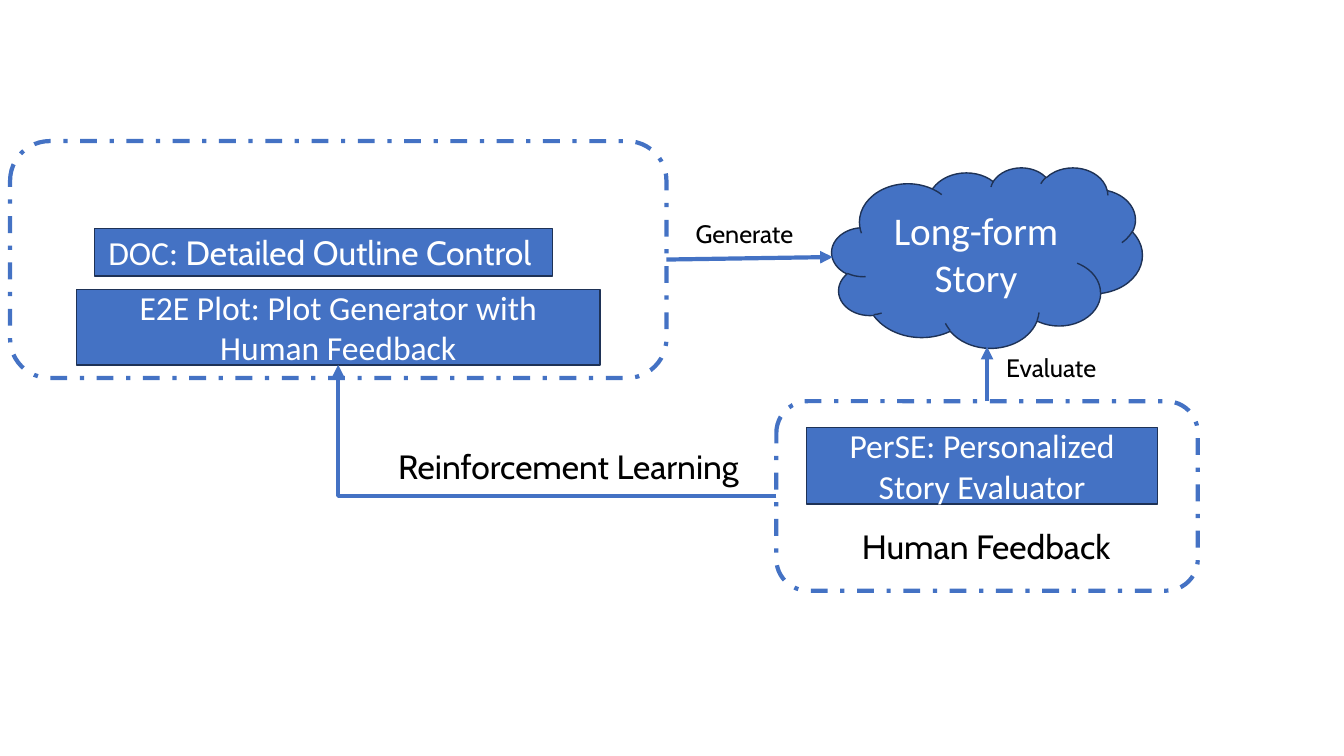
from lxml import etree
from pptx import Presentation
from pptx.dml.color import RGBColor
from pptx.enum.dml import MSO_LINE
from pptx.enum.shapes import MSO_CONNECTOR, MSO_SHAPE
from pptx.enum.text import MSO_ANCHOR, MSO_AUTO_SIZE, PP_ALIGN
from pptx.oxml.ns import qn
from pptx.util import Pt

PX = 9144
BLUE = RGBColor(0x44, 0x72, 0xC4)
NAVY = RGBColor(0x1E, 0x32, 0x56)
WHITE = RGBColor(0xFF, 0xFF, 0xFF)
BLACK = RGBColor(0x00, 0x00, 0x00)
RECTANGLE = MSO_SHAPE.RECTANGLE
ROUNDED = MSO_SHAPE.ROUNDED_RECTANGLE
CLOUD = MSO_SHAPE.CLOUD
STRAIGHT = MSO_CONNECTOR.STRAIGHT
ELBOW = MSO_CONNECTOR.ELBOW
DASH_DOT = MSO_LINE.DASH_DOT
MIDDLE = MSO_ANCHOR.MIDDLE
CENTER = PP_ALIGN.CENTER
FIT_SHAPE = MSO_AUTO_SIZE.SHAPE_TO_FIT_TEXT
TOP, LEFT, BOTTOM, RIGHT = range(4)


def scaled(*lengths):
    """Turn px lengths into EMU."""
    return [length * PX for length in lengths]


def add_span(para, text, size, color, face):
    """Append one formatted run to a paragraph."""
    span = para.add_run()
    span.text = text
    span.font.size = Pt(size)
    span.font.name = face
    span.font.color.rgb = color


def add_block(page, kind, bounds, spans, size=24):
    """Add a filled shape with centred white text from (text, face) pairs."""
    block = page.shapes.add_shape(kind, *scaled(*bounds))
    block.shadow.inherit = False
    block.fill.solid()
    block.fill.fore_color.rgb = BLUE
    block.line.color.rgb = NAVY
    block.line.width = Pt(1)
    block.text_frame.word_wrap = True
    block.text_frame.vertical_anchor = MIDDLE
    para = block.text_frame.paragraphs[0]
    para.alignment = CENTER
    for text, face in spans:
        add_span(para, text, size, WHITE, face)
    return block


def add_group_frame(page, bounds):
    """Add an unfilled rounded frame with a dash-dot outline."""
    frame = page.shapes.add_shape(ROUNDED, *scaled(*bounds))
    frame.shadow.inherit = False
    frame.fill.background()
    frame.line.color.rgb = BLUE
    frame.line.width = Pt(3)
    frame.line.dash_style = DASH_DOT
    return frame


def add_arrow(page, kind, ends, source, side):
    """Add an arrow that starts at the middle of one side of a frame."""
    arrow = page.shapes.add_connector(kind, *scaled(*ends))
    arrow.begin_connect(source, side)
    arrow.line.color.rgb = BLUE
    arrow.line.width = Pt(3)
    properties = arrow._element.spPr
    etree.SubElement(properties.find(qn("a:ln")), qn("a:tailEnd"), type="triangle")
    etree.SubElement(properties, qn("a:effectLst"))
    return arrow


def add_label(page, bounds, text, size):
    """Add an unwrapped black text label."""
    label = page.shapes.add_textbox(*scaled(*bounds))
    label.text_frame.word_wrap = False
    label.text_frame.auto_size = FIT_SHAPE
    add_span(label.text_frame.paragraphs[0], text, size, BLACK, "Cabin")


def main():
    """Build the story generation and feedback diagram."""
    deck = Presentation()
    deck.slide_width, deck.slide_height = scaled(1333, 750)
    page = deck.slides.add_slide(deck.slide_layouts[6])

    add_block(page, RECTANGLE, (94, 227, 454, 47),
              [("DOC: ", "Calibri"), ("Detailed Outline Control ", "Cabin")])
    add_block(page, RECTANGLE, (800, 424, 348, 76),
              [("PerSE: Personalized Story Evaluator", "Calibri")])
    plot = add_block(page, RECTANGLE, (76, 287, 519, 75),
                     [("E2E Plot: Plot Generator with Human Feedback", "Calibri")])
    generator = add_group_frame(page, (10, 140, 651, 235))
    feedback = add_group_frame(page, (770, 398, 418, 188))
    add_block(page, CLOUD, (825, 166, 308, 179), [("Long-form Story", "Calibri")], 28)

    learning = add_arrow(page, ELBOW, (770, 492, 335, 362), feedback, LEFT)
    learning.end_connect(plot, BOTTOM)
    learning._element.spPr.find(qn("a:prstGeom")).set("prst", "bentConnector2")
    add_arrow(page, STRAIGHT, (661, 258, 826, 255), generator, RIGHT)
    add_arrow(page, STRAIGHT, (979, 398, 979, 344), feedback, TOP)

    add_label(page, (680, 212, 119, 40), "Generate", 18)
    add_label(page, (988, 345, 112, 40), "Evaluate", 18)
    add_label(page, (845, 517, 267, 50), "Human Feedback", 24)
    add_label(page, (385, 437, 365, 50), "Reinforcement Learning", 24)
    deck.save("out.pptx")


if __name__ == "__main__":
    main()
